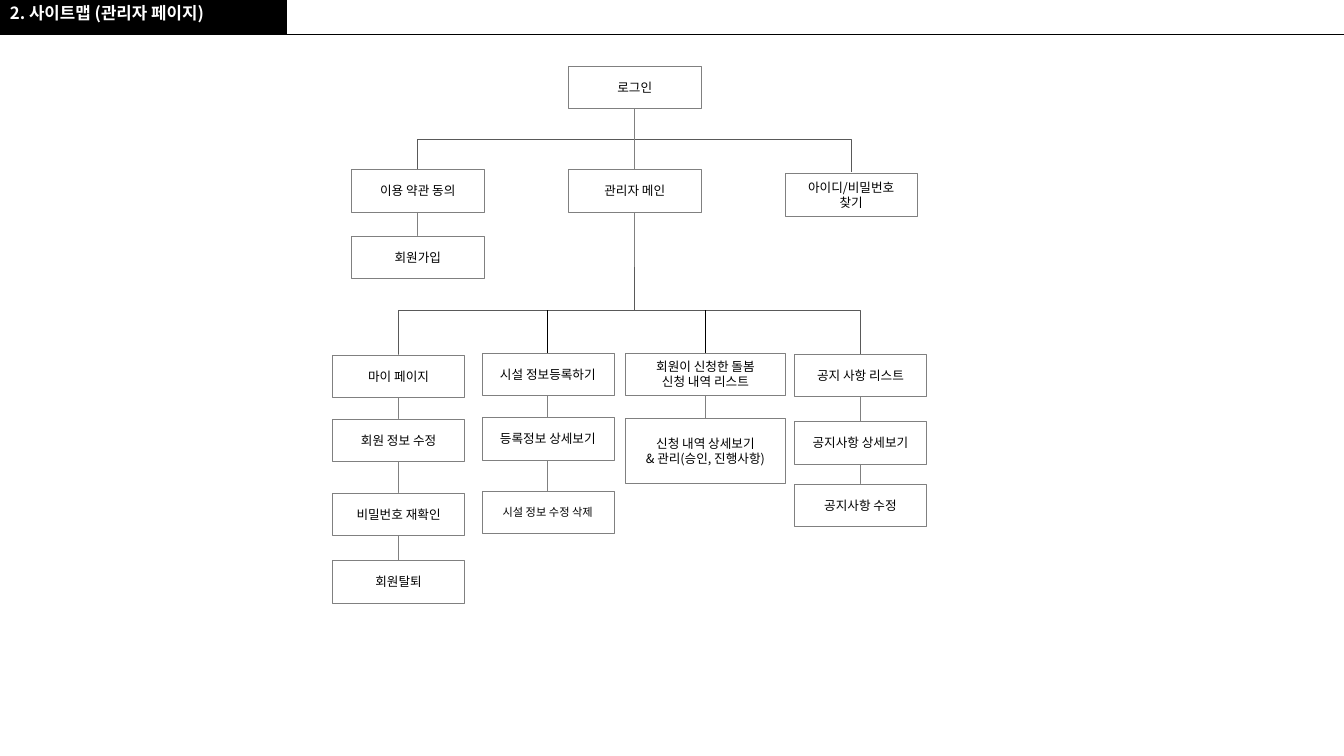
from pptx import Presentation
from pptx.dml.color import RGBColor
from pptx.enum.shapes import MSO_CONNECTOR, MSO_SHAPE
from pptx.enum.text import MSO_ANCHOR, PP_ALIGN
from pptx.oxml.xmlchemy import OxmlElement
from pptx.util import Pt

RECTANGLE = MSO_SHAPE.RECTANGLE
STRAIGHT, ELBOW = MSO_CONNECTOR.STRAIGHT, MSO_CONNECTOR.ELBOW
TOP, MIDDLE = MSO_ANCHOR.TOP, MSO_ANCHOR.MIDDLE
LEFT, CENTER = PP_ALIGN.LEFT, PP_ALIGN.CENTER

COLORS = {"black": "000000", "white": "FFFFFF", "gray": "808080", "dark": "595959"}
FONT = "Noto Sans CJK KR"
BOX_WIDTH, BOX_HEIGHT = 94.4, 30.4
TRUNK_X, MENU_BAR_Y = 453.4, 221.8


def color(name):
    return RGBColor.from_string(COLORS[name])


def write_text(frame, text, size=9, ink="black", bold=False, align=CENTER,
               anchor=MIDDLE, spacing=None, insets=(3.6, 3.6)):
    frame.word_wrap = True
    frame.vertical_anchor = anchor
    frame.margin_left = frame.margin_right = Pt(insets[0])
    frame.margin_top = frame.margin_bottom = Pt(insets[1])
    for index, line in enumerate(text.split("\n")):
        paragraph = frame.paragraphs[0] if index == 0 else frame.add_paragraph()
        paragraph.alignment = align
        paragraph.line_spacing = spacing
        run = paragraph.add_run()
        run.text = line
        run.font.name, run.font.size, run.font.bold = FONT, Pt(size), bold
        run.font.color.rgb = color(ink)


class Sitemap:
    def __init__(self, slide):
        self.slide = slide

    def rectangle(self, left, top, width, height, fill="white", outline="gray"):
        shape = self.slide.shapes.add_shape(
            RECTANGLE, Pt(left), Pt(top), Pt(width), Pt(height))
        shape.shadow.inherit = False
        shape.fill.solid()
        shape.fill.fore_color.rgb = color(fill)
        if outline:
            shape.line.color.rgb = color(outline)
            shape.line.width = Pt(0.25)
        else:
            shape.line.fill.background()
        return shape

    def line(self, x1, y1, x2, y2, ink="gray", kind=STRAIGHT):
        connector = self.slide.shapes.add_connector(kind, Pt(x1), Pt(y1), Pt(x2), Pt(y2))
        connector.line.color.rgb = color(ink)
        connector.line.width = Pt(0.5)
        connector._element.spPr.append(OxmlElement("a:effectLst"))
        return connector

    def branch(self, x1, y1, x2, y2):
        """Elbow that leaves downwards, turns halfway and arrives downwards."""
        drop, reach = y2 - y1, abs(x2 - x1)
        left, right = (x1 + x2 - drop) / 2, (x1 + x2 + drop) / 2
        top = (y1 + y2 - reach) / 2
        goes_right = x2 > x1
        if goes_right:
            left, right = right, left
        connector = self.line(left, top, right, top + reach, "dark", ELBOW)
        connector._element.spPr.xfrm.set("rot", "16200000" if goes_right else "5400000")

    def column(self, center, boxes, width=BOX_WIDTH):
        """Stack of boxes, each joined to the next one."""
        previous_bottom = None
        for text, top, height, size in boxes:
            if previous_bottom is not None:
                self.line(center, previous_bottom, center, top)
            shape = self.rectangle(center - width / 2, top, width, height)
            write_text(shape.text_frame, text, size)
            previous_bottom = top + height

    def title(self, text):
        box = self.slide.shapes.add_textbox(Pt(0), Pt(2.2), Pt(205), Pt(23))
        write_text(box.text_frame, text, 12, "white", True, LEFT, TOP, 0.9, (7.2, 1.6))


def box(text, top, height=BOX_HEIGHT, size=9):
    return text, top, height, size


COLUMNS = [
    (TRUNK_X, BOX_WIDTH, [box("로그인", 47.1), box("관리자 메인", 121)]),
    (298.4, BOX_WIDTH, [box("이용 약관 동의", 121), box("회원가입", 168.5)]),
    (608, BOX_WIDTH, [box("아이디/비밀번호\n찾기", 124)]),
    (284.7, BOX_WIDTH, [box("마이 페이지", 253.4), box("회원 정보 수정", 299.2),
                        box("비밀번호 재확인", 352), box("회원탈퇴", 400.2)]),
    (391.3, BOX_WIDTH, [box("시설 정보등록하기", 252.2), box("등록정보 상세보기", 298.2),
                        box("시설 정보 수정 삭제", 350.8, size=8)]),
    (503.8, 114.6, [box("회원이 신청한 돌봄\n신청 내역 리스트", 252.2),
                    box("신청 내역 상세보기\n& 관리(승인, 진행사항)", 298.8, 46.6)]),
    (614.6, BOX_WIDTH, [box("공지 사항 리스트", 253), box("공지사항 상세보기", 301),
                        box("공지사항 수정", 345.6)]),
]

# (start y, end x, end y) of the elbows leaving the trunk
BRANCHES = [(77.8, 298.4, 121), (76.3, 608, 123.1),
            (190.8, 284.7, 253.4), (190.8, 614.6, 252.7)]


def main():
    presentation = Presentation()
    presentation.slide_width, presentation.slide_height = Pt(960), Pt(540)
    sitemap = Sitemap(presentation.slides.add_slide(presentation.slide_layouts[6]))

    # Header
    sitemap.rectangle(0, 0, 205, 25, "black", None)
    sitemap.line(198.7, 24.6, 960, 24.6, "black")
    sitemap.title("2. 사이트맵 (관리자 페이지)")

    # Lines from the trunk to the columns
    sitemap.line(TRUNK_X, 151.4, TRUNK_X, MENU_BAR_Y)
    for start_y, end_x, end_y in BRANCHES:
        sitemap.branch(TRUNK_X, start_y, end_x, end_y)
    for center in (391.3, 503.8):
        sitemap.line(center, MENU_BAR_Y, center, 252.2, "black")

    # Page boxes
    for center, width, boxes in COLUMNS:
        sitemap.column(center, boxes, width)

    presentation.save("out.pptx")


if __name__ == "__main__":
    main()
